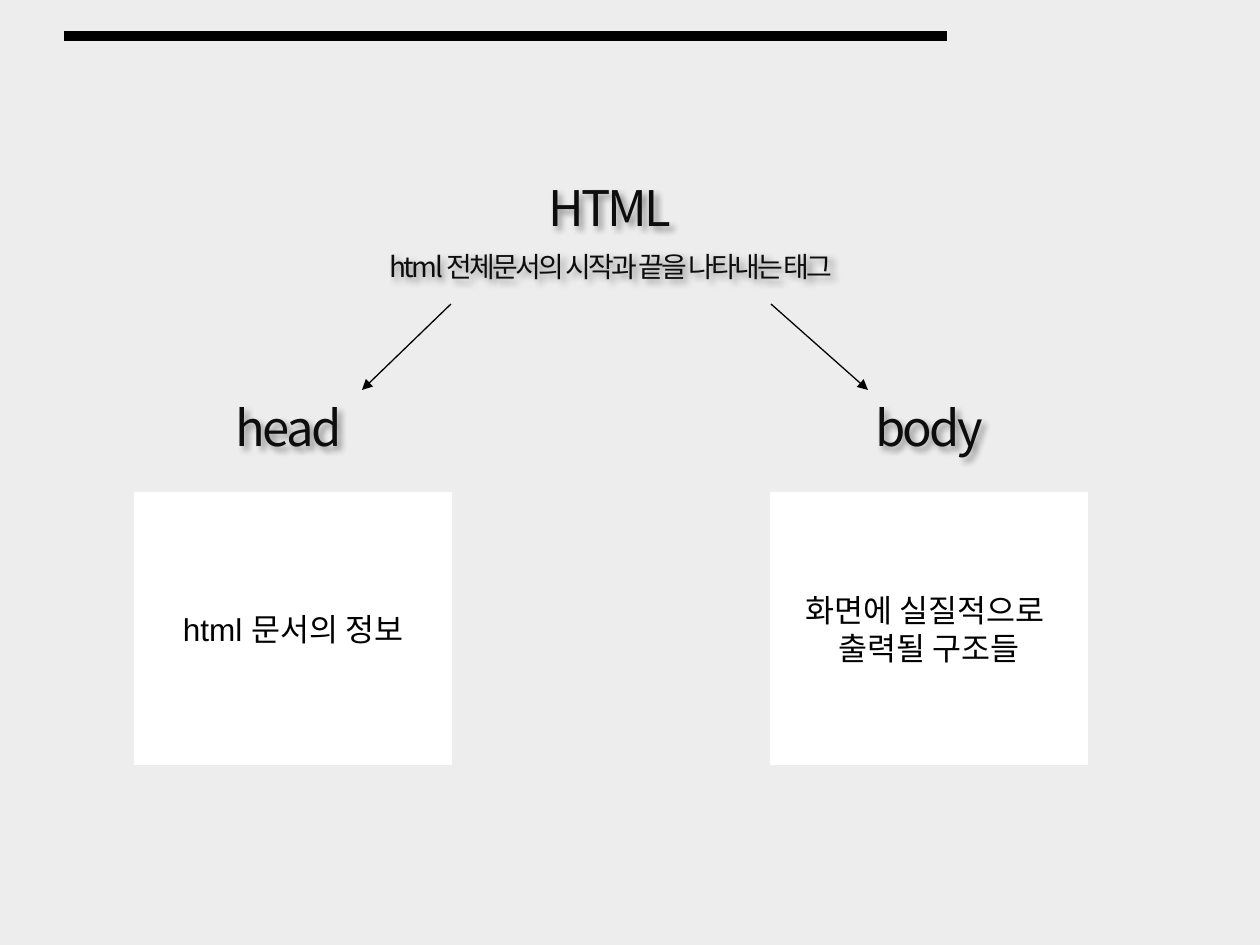
from lxml import etree
from pptx import Presentation
from pptx.dml.color import RGBColor
from pptx.enum.shapes import MSO_CONNECTOR, MSO_SHAPE
from pptx.enum.text import MSO_ANCHOR, PP_ALIGN
from pptx.oxml.ns import qn
from pptx.util import Pt

STRAIGHT = MSO_CONNECTOR.STRAIGHT
RECTANGLE = MSO_SHAPE.RECTANGLE
MIDDLE = MSO_ANCHOR.MIDDLE
CENTER = PP_ALIGN.CENTER

SCALE = 914400 // 126
COLORS = {"background": "EDEDED", "line": "000000", "card": "FFFFFF",
          "title": "0D0D0D", "body": "000000", "shadow": "000000"}
TITLE_FONT = "Noto Sans CJK KR"
BODY_FONT = "Arial"


def px(value):
    return round(value * SCALE)


def color(name):
    return RGBColor.from_string(COLORS[name])


def write_text(shape, lines, size, font, color_name, spacing=None):
    frame = shape.text_frame
    frame.word_wrap = True
    frame.vertical_anchor = MIDDLE
    for index, line in enumerate(lines):
        paragraph = frame.add_paragraph() if index else frame.paragraphs[0]
        paragraph.alignment = CENTER
        run = paragraph.add_run()
        run.text = line
        run.font.size = Pt(size)
        run.font.name = font
        run.font.color.rgb = color(color_name)
        properties = run._r.get_or_add_rPr()
        etree.SubElement(properties, qn("a:ea"), typeface=TITLE_FONT)
        if spacing is not None:
            properties.set("spc", str(round(spacing * 100)))


def add_soft_shadow(shape):
    effects = etree.SubElement(shape._element.spPr, qn("a:effectLst"))
    shadow = etree.SubElement(effects, qn("a:outerShdw"), blurRad="50800",
                              dist="38100", dir="2700000", algn="tl")
    shade = etree.SubElement(shadow, qn("a:srgbClr"), val=COLORS["shadow"])
    etree.SubElement(shade, qn("a:alpha"), val="40000")


def add_title(slide, left, top, width, height, text, size):
    box = slide.shapes.add_textbox(px(left), px(top), px(width), px(height))
    write_text(box, [text], size, TITLE_FONT, "title", -1.5)
    add_soft_shadow(box)


def add_line(slide, start, end, width, arrow=False):
    line = slide.shapes.add_connector(STRAIGHT, *map(px, start + end))
    line.line.color.rgb = color("line")
    line.line.width = Pt(width)
    if arrow:
        etree.SubElement(line.line._get_or_add_ln(), qn("a:tailEnd"), type="triangle")
    etree.SubElement(line._element.spPr, qn("a:effectLst"))


def add_root(slide, left, top):
    add_title(slide, left + 74, top, 318, 74, "HTML", 28)
    add_title(slide, left, top + 59, 466, 74,
              "html 전체문서의 시작과 끝을 나타내는 태그 ", 16)


def add_branch(slide, left, top, title, lines):
    card = slide.shapes.add_shape(RECTANGLE, px(left), px(top + 102), px(318), px(273))
    card.shadow.inherit = False
    card.fill.solid()
    card.fill.fore_color.rgb = color("card")
    card.line.fill.background()
    write_text(card, lines, 18, BODY_FONT, "body")
    add_title(slide, left, top, 318, 74, title, 28)


def build_tag_tree(slide):
    add_line(slide, (64, 36), (947, 36), 6)
    add_branch(slide, 134, 390, "head ", ["html 문서의 정보"])
    add_branch(slide, 770, 390, "body", ["화면에 실질적으로 ", "출력될 구조들"])
    add_root(slide, 377, 170)
    for start, end in (((771, 304), (868, 390)), ((451, 304), (362, 390))):
        add_line(slide, start, end, 0.75, arrow=True)


presentation = Presentation()
presentation.slide_width = px(1260)
presentation.slide_height = px(945)
slide = presentation.slides.add_slide(presentation.slide_layouts[6])
slide.background.fill.solid()
slide.background.fill.fore_color.rgb = color("background")
build_tag_tree(slide)
presentation.save("out.pptx")
